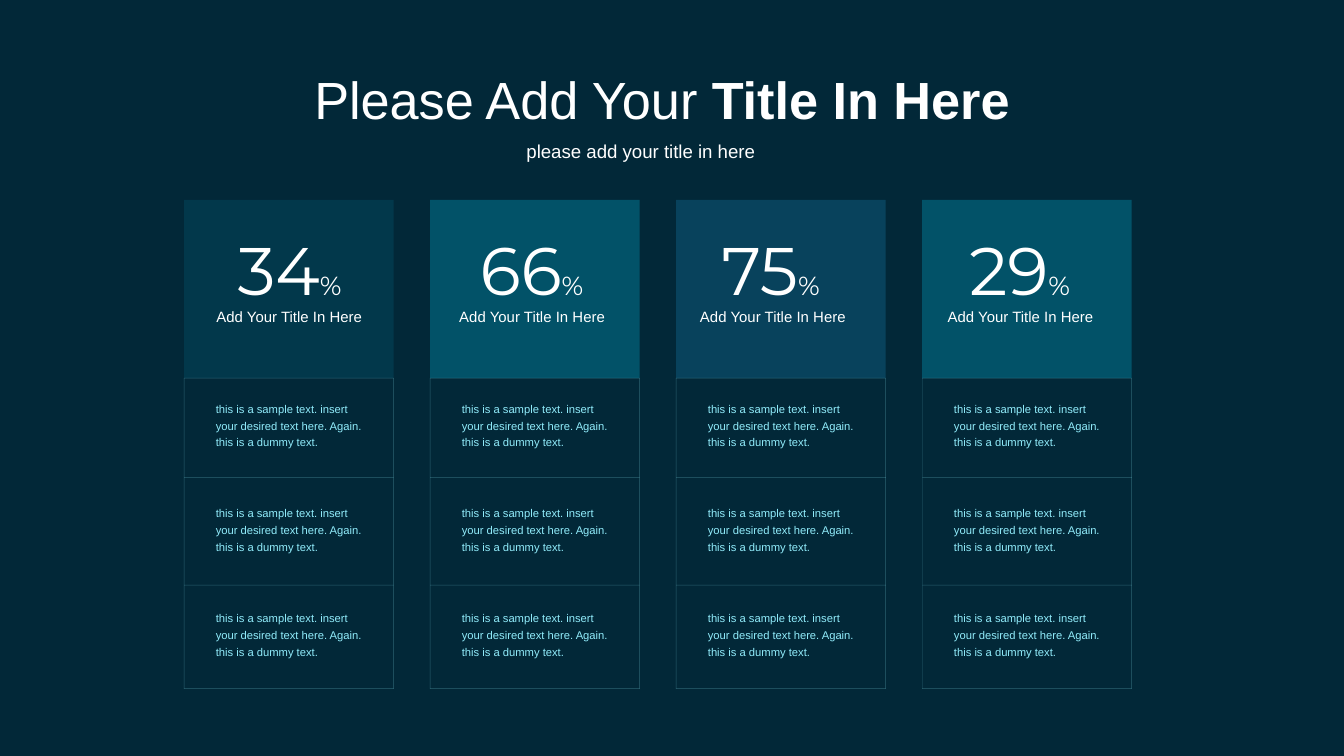
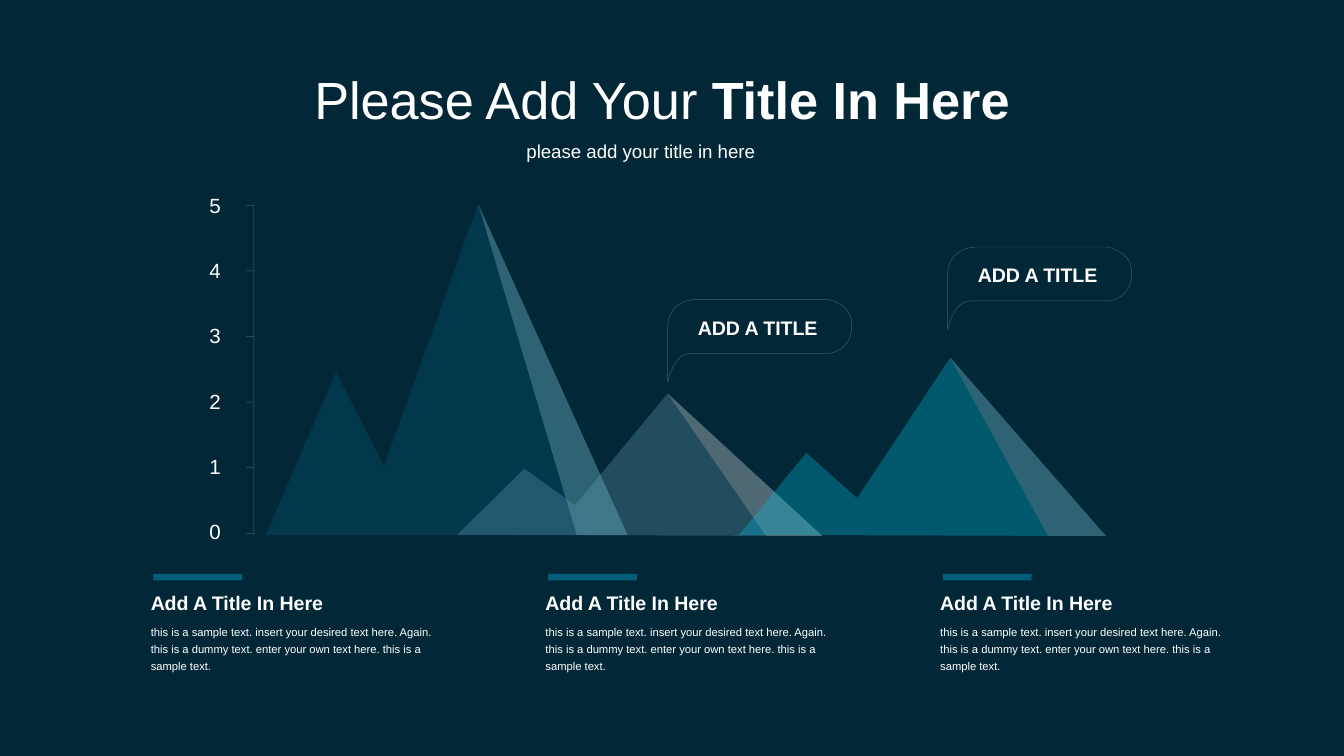
from lxml.etree import SubElement
from pptx import Presentation
from pptx.dml.color import RGBColor
from pptx.enum.shapes import MSO_CONNECTOR, MSO_SHAPE
from pptx.enum.text import MSO_AUTO_SIZE
from pptx.oxml.ns import qn
from pptx.util import Cm, Pt

NAVY = RGBColor(0x02, 0x28, 0x38)
WHITE = RGBColor(0xFF, 0xFF, 0xFF)
PETROL = RGBColor(0x02, 0x5D, 0x79)
CYAN = RGBColor(0x02, 0xB4, 0xDA)
BLUE = RGBColor(0x18, 0x81, 0xB0)
STEEL = RGBColor(0x6A, 0xA3, 0xBC)
TURQUOISE = RGBColor(0x02, 0xC7, 0xEA)
ICE = RGBColor(0x91, 0xEC, 0xFB)
PALE = RGBColor(0xA4, 0xE2, 0xFE)

BODY_FONT = "Arial"
NUMBER_FONT = "Montserrat"
OPACITY = 30

SAMPLE = ("this is a sample text. insert your desired text here. Again. "
          "this is a dummy text.")
LONG_SAMPLE = SAMPLE + " enter your own text here. this is a sample text."

# Figure, colour, and the indents of the figure and its caption in cm
CARDS = [
    ("34", PETROL, 0.76, 0.36),
    ("66", CYAN, 0.69, 0.3),
    ("75", BLUE, 0.61, 0.2),
    ("29", CYAN, 0.64, 0.23),
]

# Colours of face and slope, outline of the face, and where the slope ends
MOUNTAINS = [
    (PETROL, ICE, 7.06,
     [(0.23, 6.25), (1.55, 3.18), (2.46, 4.95), (4.24, 0), (6.1, 6.25)]),
    (STEEL, WHITE, 10.74,
     [(3.84, 6.25), (5.11, 5), (6.07, 5.69), (7.82, 3.58), (9.68, 6.27)]),
    (TURQUOISE, ICE, 16.1,
     [(9.17, 6.25), (10.44, 4.7), (11.4, 5.56), (13.16, 2.9), (15.01, 6.27)]),
]

# Start point, then three control points for each curve
BUBBLE = [
    (3.02, 0),
    (0.53, 0), (0.53, 0), (0.53, 0),
    (0.53, 0), (0, 0), (0, 0.53),
    (0, 1.07), (0, 1.57), (0, 1.57),
    (0, 1.57), (0.1, 1.02), (0.43, 1.02),
    (0.74, 1.02), (3.05, 1.02), (3.05, 1.02),
    (3.05, 1.02), (3.48, 0.99), (3.48, 0.48),
    (3.48, 0.08), (3.02, 0), (3.02, 0),
]


def add_text(slide, left, top, width, height, text, *, size, font=BODY_FONT,
             color=WHITE, bold=False, spacing=None, wrap=False,
             tail="", tail_size=None, tail_bold=False):
    """Add a text box; tail is a second run with its own size or weight."""
    box = slide.shapes.add_textbox(Cm(left), Cm(top), Cm(width), Cm(height))
    frame = box.text_frame
    frame.word_wrap = wrap
    frame.auto_size = MSO_AUTO_SIZE.SHAPE_TO_FIT_TEXT
    paragraph = frame.paragraphs[0]
    if spacing:
        paragraph.line_spacing = Pt(spacing)
    runs = [(text, size, bold), (tail, tail_size or size, tail_bold)]
    for words, points, heavy in runs:
        if words:
            run = paragraph.add_run()
            run.text = words
            run.font.name = font
            run.font.size = Pt(points)
            run.font.bold = heavy
            run.font.color.rgb = color


def make_translucent(shape):
    for color in shape.element.spPr.iter(qn("a:srgbClr")):
        SubElement(color, qn("a:alpha"), val=str(OPACITY * 1000))


def paint(shape, fill=None, line=None, solid=False):
    shape.shadow.inherit = False
    if fill is None:
        shape.fill.background()
    else:
        shape.fill.solid()
        shape.fill.fore_color.rgb = fill
    if line is None:
        shape.line.fill.background()
    else:
        shape.line.color.rgb = line
        shape.line.width = Pt(0.25)
    if not solid:
        make_translucent(shape)


def add_rect(slide, left, top, width, height, **colors):
    rect = slide.shapes.add_shape(
        MSO_SHAPE.RECTANGLE, Cm(left), Cm(top), Cm(width), Cm(height))
    paint(rect, **colors)


def add_hairline(slide, x1, y1, x2, y2, color):
    line = slide.shapes.add_connector(
        MSO_CONNECTOR.STRAIGHT, Cm(x1), Cm(y1), Cm(x2), Cm(y2))
    line.line.color.rgb = color
    line.line.width = Pt(0.25)
    make_translucent(line)
    SubElement(line.element.spPr, qn("a:effectLst"))


def add_outline(slide, left, top, points, **colors):
    """Add a closed outline whose points are relative to left and top."""
    start, *rest = [(Cm(left + x), Cm(top + y)) for x, y in points]
    builder = slide.shapes.build_freeform(*start)
    builder.add_line_segments(rest, close=True)
    outline = builder.convert_to_shape()
    paint(outline, **colors)
    return outline


def bend(outline):
    """Turn each three straight segments into one cubic curve."""
    segments = list(outline.element.spPr.iter(qn("a:lnTo")))
    for first in range(0, len(segments), 3):
        group = segments[first:first + 3]
        curve = group[0].makeelement(qn("a:cubicBezTo"))
        group[0].addprevious(curve)
        for segment in group:
            curve.append(segment[0])
            segment.getparent().remove(segment)


def add_titled_slide(prs):
    slide = prs.slides.add_slide(prs.slide_layouts[6])
    add_text(slide, 5.69, 1.14, 13.82, 1.45, "Please Add Your ", size=28,
             tail="Title In Here", tail_bold=True)
    add_text(slide, 9.7, 2.51, 4.85, 0.69, "please add your title in here", size=10)
    return slide


def add_card(slide, left, top, width, card):
    figure, color, figure_indent, caption_indent = card
    head_height = 3.37
    add_rect(slide, left, top, width, head_height, fill=color)
    add_text(slide, left + figure_indent, top + 0.41, 2.72, 1.8, figure,
             size=36, font=NUMBER_FONT, tail="%", tail_size=14)
    add_text(slide, left + caption_indent, top + 1.91, 3.35, 0.61,
             "Add Your Title In Here", size=8)
    add_card_rows(slide, left, top + head_height, width)


def add_card_rows(slide, left, top, width):
    add_rect(slide, left, top, width, 5.87, line=ICE)
    for divider in range(2):
        y = top + 1.88 + 2.03 * divider
        add_hairline(slide, left, y, left + width, y, ICE)
    for row in range(3):
        add_text(slide, left + 0.35, top + 0.26 + 1.98 * row, 3.4, 1.22, SAMPLE,
                 size=6, color=ICE, spacing=9, wrap=True)


def add_mountains(slide, left, top):
    for face, slope, slope_end, points in MOUNTAINS:
        peak, foot = points[-2:]
        add_outline(slide, left, top, points, fill=face)
        add_outline(slide, left, top, [peak, (slope_end, foot[1]), foot], fill=slope)


def add_axis(slide, left, top, height):
    add_hairline(slide, left, top, left, top + height, PALE)
    for value in range(6):
        steps_down = 5 - value
        tick = top + 0.02 + 1.24 * steps_down
        add_hairline(slide, left, tick, left - 0.15, tick, PALE)
        add_text(slide, left - 1.09, top - 0.33 + 1.23 * steps_down, 0.74, 0.74,
                 str(value), size=11)


def add_callout(slide, left, top):
    bend(add_outline(slide, left, top, BUBBLE, line=PALE))
    add_text(slide, left + 0.32, top + 0.2, 3.1, 0.69, "ADD A TITLE",
             size=10.5, bold=True, spacing=12, wrap=True)


def add_note(slide, left, top):
    add_rect(slide, left + 0.3, top, 1.68, 0.12, fill=PETROL, solid=True)
    add_text(slide, left, top + 0.22, 4.75, 0.69, "Add A Title In Here",
             size=10.5, bold=True, spacing=12, wrap=True)
    add_text(slide, left, top + 0.78, 6.17, 1.19, LONG_SAMPLE,
             size=6, spacing=9, wrap=True)


def build_cards_slide(prs):
    slide = add_titled_slide(prs)
    for column, card in enumerate(CARDS):
        add_card(slide, 3.48 + 4.65 * column, 3.78, 3.96, card)


def build_mountains_slide(prs):
    slide = add_titled_slide(prs)
    add_mountains(slide, 4.8, 3.86)
    add_axis(slide, 4.8, 3.86, 6.25)
    add_callout(slide, 17.91, 4.67)
    add_callout(slide, 12.62, 5.66)
    for column in range(3):
        add_note(slide, 2.6 + 7.46 * column, 10.85)


def main():
    prs = Presentation()
    prs.slide_width, prs.slide_height = Cm(25.4), Cm(14.29)
    background = prs.slide_master.background.fill
    background.solid()
    background.fore_color.rgb = NAVY
    build_cards_slide(prs)
    build_mountains_slide(prs)
    prs.save("out.pptx")


if __name__ == "__main__":
    main()
